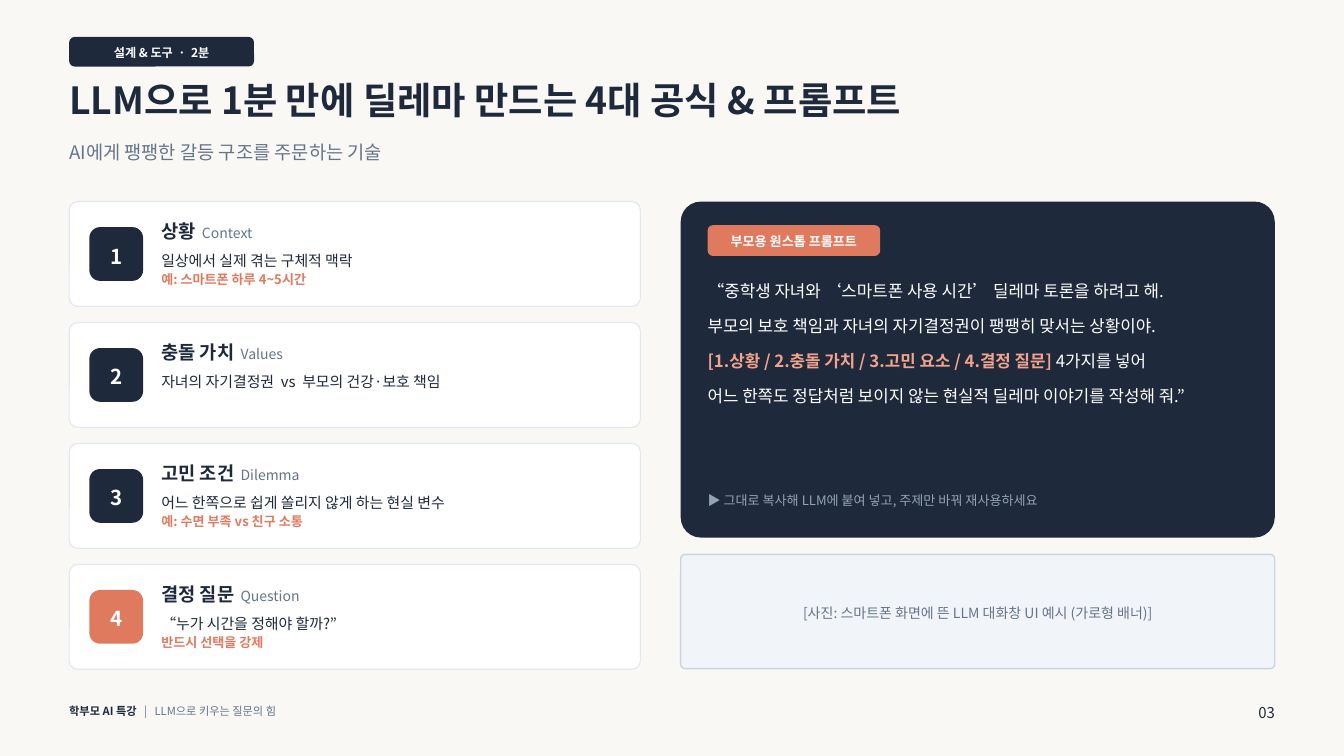
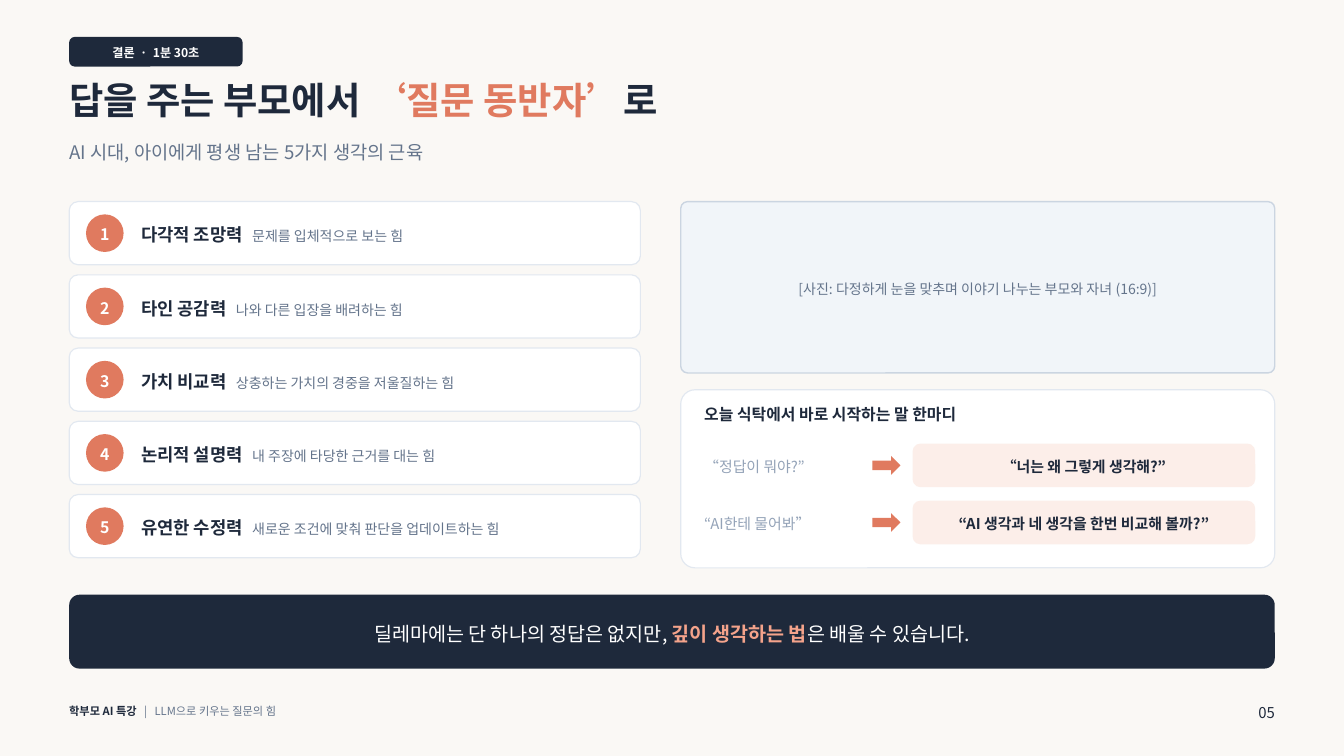
from lxml.etree import SubElement
from pptx import Presentation
from pptx.dml.color import RGBColor
from pptx.enum.shapes import MSO_SHAPE
from pptx.enum.text import MSO_ANCHOR, PP_ALIGN
from pptx.oxml.ns import qn
from pptx.util import Pt

FONT = "Noto Sans CJK KR"
PAPER = RGBColor(0xFA, 0xF8, 0xF5)
NAVY = RGBColor(0x1E, 0x29, 0x3B)
SLATE = RGBColor(0x64, 0x74, 0x8B)
MIST = RGBColor(0x94, 0xA3, 0xB8)
CORAL = RGBColor(0xE0, 0x7A, 0x5F)
PEACH = RGBColor(0xF4, 0xA3, 0x8B)
BLUSH = RGBColor(0xFC, 0xEE, 0xE9)
WHITE = RGBColor(0xFF, 0xFF, 0xFF)
CARD_EDGE = RGBColor(0xE2, 0xE8, 0xF0)
PHOTO_FILL = RGBColor(0xF1, 0xF5, 0xF9)
PHOTO_EDGE = RGBColor(0xCB, 0xD5, 0xE1)

# Page grid, in points
PAGE_W, PAGE_H = 1440, 810
LEFT, RIGHT, TOP = 74.16, 1365.84, 216
LEFT_W = 612
COL2 = 729.36
COL2_W = RIGHT - COL2

# Content: a run is (text, size, colour, bold); a paragraph is a list of runs
FOOTER = [("학부모 AI 특강", 12, NAVY, True),
          ("   |   LLM으로 키우는 질문의 힘", 12, SLATE, False)]

FORMULA = {
    "tag": ("설계 & 도구  ·  2분", 198),
    "title": [("LLM으로 1분 만에 딜레마 만드는 4대 공식 & 프롬프트", 40, NAVY, True)],
    "subtitle": "AI에게 팽팽한 갈등 구조를 주문하는 기술",
    "heading_w": 1288.8,
    "page": "03",
}
STEPS = [
    ("상황", "Context", "일상에서 실제 겪는 구체적 맥락", "예: 스마트폰 하루 4~5시간", NAVY),
    ("충돌 가치", "Values", "자녀의 자기결정권  vs  부모의 건강·보호 책임", None, NAVY),
    ("고민 조건", "Dilemma", "어느 한쪽으로 쉽게 쏠리지 않게 하는 현실 변수",
     "예: 수면 부족 vs 친구 소통", NAVY),
    ("결정 질문", "Question", "“누가 시간을 정해야 할까?”", "반드시 선택을 강제", CORAL),
]
PROMPT_TAG = "부모용 원스톱 프롬프트"
PROMPT = [
    [("“중학생 자녀와 ‘스마트폰 사용 시간’ 딜레마 토론을 하려고 해.", 18, WHITE, False)],
    [("부모의 보호 책임과 자녀의 자기결정권이 팽팽히 맞서는 상황이야.", 18, WHITE, False)],
    [("[1.상황 / 2.충돌 가치 / 3.고민 요소 / 4.결정 질문]", 18, PEACH, True),
     (" 4가지를 넣어", 18, WHITE, False)],
    [("어느 한쪽도 정답처럼 보이지 않는 현실적 딜레마 이야기를 작성해 줘.”", 18, WHITE, False)],
]
PROMPT_HINT = "▶ 그대로 복사해 LLM에 붙여 넣고, 주제만 바꿔 재사용하세요"
CHAT_PHOTO = "[사진: 스마트폰 화면에 뜬 LLM 대화창 UI 예시 (가로형 배너)]"

CLOSING = {
    "tag": ("결론  ·  1분 30초", 185.76),
    "title": [("답을 주는 부모에서 ", 40, NAVY, True),
              ("‘질문 동반자’", 40, CORAL, True),
              ("로", 40, NAVY, True)],
    "subtitle": "AI 시대, 아이에게 평생 남는 5가지 생각의 근육",
    "heading_w": 864,
    "page": "05",
}
MUSCLES = [
    ("다각적 조망력", "문제를 입체적으로 보는 힘"),
    ("타인 공감력", "나와 다른 입장을 배려하는 힘"),
    ("가치 비교력", "상충하는 가치의 경중을 저울질하는 힘"),
    ("논리적 설명력", "내 주장에 타당한 근거를 대는 힘"),
    ("유연한 수정력", "새로운 조건에 맞춰 판단을 업데이트하는 힘"),
]
FAMILY_PHOTO = "[사진: 다정하게 눈을 맞추며 이야기 나누는 부모와 자녀 (16:9)]"
PHRASES_TITLE = "오늘 식탁에서 바로 시작하는 말 한마디"
PHRASES = [
    ("“정답이 뭐야?”", "“너는 왜 그렇게 생각해?”"),
    ("“AI한테 물어봐”", "“AI 생각과 네 생각을 한번 비교해 볼까?”"),
]
MESSAGE = [("딜레마에는 단 하나의 정답은 없지만, ", 21, WHITE, False),
           ("깊이 생각하는 법", 21, PEACH, True),
           ("은 배울 수 있습니다.", 21, WHITE, False)]


def style(font, size, color, bold):
    font.size, font.bold = Pt(size), bold
    font.color.rgb = color


def write(tf, paras, align=PP_ALIGN.LEFT, anchor=MSO_ANCHOR.TOP,
          spacing=1.15, after=None, inset=0):
    """Fill a text frame; the first run sets the paragraph font, later runs their own."""
    tf.word_wrap = True
    tf.vertical_anchor = anchor
    tf.margin_left = tf.margin_right = tf.margin_top = tf.margin_bottom = Pt(inset)
    for i, runs in enumerate(paras):
        p = tf.add_paragraph() if i else tf.paragraphs[0]
        p.alignment = align
        if spacing:
            p.line_spacing = spacing
        if after:
            p.space_after = Pt(after)
        p.font.name = FONT
        style(p.font, *runs[0][1:])
        SubElement(p._p.pPr.find(qn("a:defRPr")), qn("a:ea"), typeface=FONT)
        for j, (text, *look) in enumerate(runs):
            r = p.add_run()
            r.text = text
            if j:
                style(r.font, *look)


def add_text(s, x, y, w, h, paras, **options):
    box = s.shapes.add_textbox(Pt(x), Pt(y), Pt(w), Pt(h))
    write(box.text_frame, paras, **options)


def add_box(s, x, y, w, h, fill, adj=None, edge=None, runs=None, inset=0,
            kind=MSO_SHAPE.ROUNDED_RECTANGLE):
    """Draw a filled shape; edge is (colour, width), runs is one centred paragraph."""
    sp = s.shapes.add_shape(kind, Pt(x), Pt(y), Pt(w), Pt(h))
    sp.shadow.inherit = False
    sp.fill.solid()
    sp.fill.fore_color.rgb = fill
    if adj is not None:
        sp.adjustments[0] = adj
    if edge:
        sp.line.color.rgb, sp.line.width = edge[0], Pt(edge[1])
    else:
        sp.line.fill.background()
    if runs:
        write(sp.text_frame, [runs], PP_ALIGN.CENTER, MSO_ANCHOR.MIDDLE, inset=inset)


def add_card(s, x, y, w, h, adj):
    add_box(s, x, y, w, h, WHITE, adj, (CARD_EDGE, 1.25))


def add_photo_slot(s, y, h, caption):
    add_box(s, COL2, y, COL2_W, h, PHOTO_FILL, 0.04, (PHOTO_EDGE, 1.5),
            [(caption, 15, SLATE, False)], inset=21.6)


def add_page(prs, head):
    """Add a slide with background, tag, title, subtitle and footer."""
    s = prs.slides.add_slide(prs.slide_layouts[6])
    s.background.fill.solid()
    s.background.fill.fore_color.rgb = PAPER
    tag, tag_w = head["tag"]
    add_box(s, LEFT, 39.6, tag_w, 31.68, NAVY, 0.18, runs=[(tag, 13, WHITE, True)])
    add_text(s, LEFT, 82.8, head["heading_w"], 64.8, [head["title"]], spacing=None)
    add_text(s, LEFT, 147.6, head["heading_w"], 36,
             [[(head["subtitle"], 20, SLATE, False)]])
    add_text(s, LEFT, 752.4, 576, 28.8, [FOOTER])
    add_text(s, RIGHT - 110, 750.96, 110, 32.4, [[(head["page"], 16, NAVY, False)]],
             align=PP_ALIGN.RIGHT)
    return s


def build_formula(prs):
    s = add_page(prs, FORMULA)
    text_x, text_w = 172.8, 496.8
    for i, (name, english, detail, example, color) in enumerate(STEPS):
        y = TOP + i * 129.6
        add_card(s, LEFT, y, LEFT_W, 112.32, 0.08)
        add_box(s, LEFT + 21.6, y + 27.36, 57.6, 57.6, color, 0.2,
                runs=[(str(i + 1), 22, WHITE, True)])
        add_text(s, text_x, y + 15.84, text_w, 36,
                 [[(name, 20, NAVY, True), (f"  {english}", 15, SLATE, False)]])
        paras = [[(detail, 16, NAVY, False)]]
        if example:
            paras.append([(example, 14, CORAL, True)])
        add_text(s, text_x, y + 51.84, text_w, 57.6, paras, spacing=1.1)

    prompt_x, prompt_w = COL2 + 28.8, 583.2
    add_box(s, COL2, TOP, COL2_W, 360, NAVY, 0.06)
    add_box(s, prompt_x, TOP + 25.2, 185, 33.12, CORAL, 0.18,
            runs=[(PROMPT_TAG, 14, WHITE, True)])
    add_text(s, prompt_x, TOP + 75.6, prompt_w, 273.6, PROMPT, spacing=1.45, after=6)
    add_text(s, prompt_x, TOP + 309.6, prompt_w, 32.4,
             [[(PROMPT_HINT, 14, MIST, False)]])
    add_photo_slot(s, 594, 122.4, CHAT_PHOTO)


def build_closing(prs):
    s = add_page(prs, CLOSING)
    card_h, dot = 67.68, 40.32
    for i, (name, meaning) in enumerate(MUSCLES):
        y = TOP + i * 78.48
        add_card(s, LEFT, y, LEFT_W, card_h, 0.14)
        add_box(s, LEFT + 18, y + (card_h - dot) / 2, dot, dot, CORAL,
                runs=[(str(i + 1), 17, WHITE, True)], kind=MSO_SHAPE.OVAL)
        add_text(s, 151.2, y, 525.6, card_h,
                 [[(name, 19, NAVY, True), (f"   {meaning}", 15, SLATE, False)]],
                 anchor=MSO_ANCHOR.MIDDLE)

    add_photo_slot(s, TOP, 183.6, FAMILY_PHOTO)
    phrases_y, phrase_x, row_h, arrow_h = 417.6, COL2 + 25.2, 46.8, 20.16
    add_card(s, COL2, phrases_y, COL2_W, 190.8, 0.08)
    add_text(s, phrase_x, phrases_y + 12.96, 576, 32.4,
             [[(PHRASES_TITLE, 17, NAVY, True)]])
    for i, (before, better) in enumerate(PHRASES):
        y = phrases_y + 57.6 + i * 61.2
        add_text(s, phrase_x, y, 187.2, row_h, [[(before, 16, MIST, False)]],
                 anchor=MSO_ANCHOR.MIDDLE)
        add_box(s, 934.56, y + (row_h - arrow_h) / 2, 30.24, arrow_h, CORAL,
                kind=MSO_SHAPE.RIGHT_ARROW)
        add_box(s, 977.76, y, 367.2, row_h, BLUSH, 0.18,
                runs=[(better, 16, NAVY, True)])
    add_box(s, LEFT, 637.2, RIGHT - LEFT, 79.2, NAVY, 0.14, runs=MESSAGE)


def main():
    prs = Presentation()
    prs.slide_width, prs.slide_height = Pt(PAGE_W), Pt(PAGE_H)
    build_formula(prs)
    build_closing(prs)
    prs.save("out.pptx")


if __name__ == "__main__":
    main()
